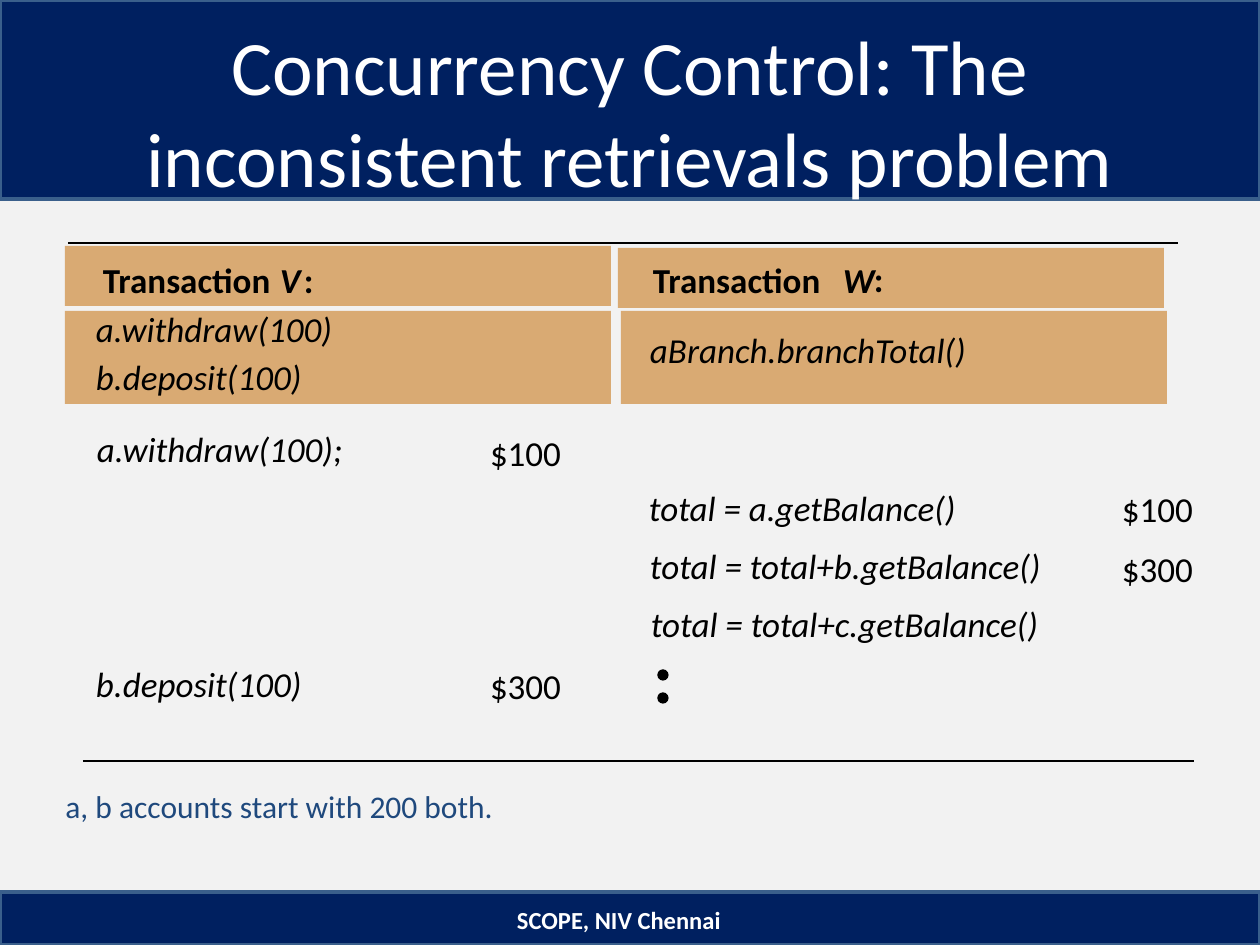
from pptx import Presentation
from pptx import util as u
from pptx.dml.color import RGBColor
from pptx.enum import shapes, text
from lxml import etree

PX = 914400 // 126
FONT = "Calibri"
COLORS = {"paper": "F2F2F2", "navy": "002060", "edge": "3A5F8B", "tan": "D9AA73",
          "ink": "000000", "white": "FFFFFF", "note": "1F497D"}

# Content: left, top, width, height in pixels
bands = [(0, 0, 1260, 199), (0, 892, 1260, 53)]
panels = [(65, 246, 546, 60), (618, 248, 546, 60),
          (65, 311, 546, 93), (621, 311, 546, 93)]
dots = [(658, 670, 10, 10), (658, 693, 10, 10)]
rules = [(68, 1178, 243), (83, 1194, 761)]

# Left, top, width, wording, style (b bold, i italic)
steps = [
    (103, 258, 176, "Transaction ", "b"), (280, 258, 21, "V", "bi"), (304, 258, 10, ":", "b"),
    (96, 307, 240, "a.withdraw(100)", "i"),
    (96, 355, 210, "b.deposit(100)", "i"),
    (653, 258, 176, "Transaction ", "b"), (843, 258, 32, "W", "bi"), (874, 257, 10, ":", "b"),
    (650, 328, 322, "aBranch.branchTotal()", "i"),
    (97, 427, 250, "a.withdraw(100);", "i"), (490, 431, 72, "$100", ""),
    (649, 486, 311, "total = a.getBalance()", "i"), (1122, 488, 72, "$100", ""),
    (650, 544, 396, "total = total+b.getBalance()", "i"), (1122, 547, 72, "$300", ""),
    (651, 603, 392, "total = total+c.getBalance()", "i"),
    (96, 662, 210, "b.deposit(100)", "i"), (490, 665, 72, "$300", ""),
]
STEP_HEIGHT = 42

# Box, wording, size, colour, style, centred
captions = [
    ((42, 32, 1176, 157), "Concurrency Control: The inconsistent retrievals problem",
     44, "white", "", True),
    ((53, 781, 1169, 50), "a, b accounts start with 200 both.", 18, "note", "", False),
    ((346, 895, 546, 50), "SCOPE, NIV Chennai", 14, "white", "b", True),
]

deck = Presentation()
deck.slide_width, deck.slide_height = 1260 * PX, 945 * PX
slide = deck.slides.add_slide(deck.slide_layouts[6])


def rgb(name):
    return RGBColor.from_string(COLORS[name])


def emu(box):
    return [v * PX for v in box]


def add_block(kind, box, fill, edge=None, weight=0.75):
    block = slide.shapes.add_shape(kind, *emu(box))
    block.shadow.inherit = False
    block.fill.solid()
    block.fill.fore_color.rgb = rgb(fill)
    if edge:
        block.line.color.rgb = rgb(edge)
        block.line.width = u.Pt(weight)
    else:
        block.line.fill.background()


def add_text(box, wording, size, color, style, centred=False, tight=False):
    frame = slide.shapes.add_textbox(*emu(box)).text_frame
    frame.word_wrap = not tight
    if tight:
        frame.margin_left = frame.margin_right = frame.margin_top = frame.margin_bottom = 0
        frame.auto_size = text.MSO_AUTO_SIZE.SHAPE_TO_FIT_TEXT
    else:
        frame.vertical_anchor = text.MSO_ANCHOR.MIDDLE
    para = frame.paragraphs[0]
    para.alignment = text.PP_ALIGN.CENTER if centred else text.PP_ALIGN.LEFT
    run = para.add_run()
    run.text = wording
    run.font.name, run.font.size = FONT, u.Pt(size)
    run.font.bold, run.font.italic = "b" in style, "i" in style
    run.font.color.rgb = rgb(color)


# Background, bands and panels
slide.background.fill.solid()
slide.background.fill.fore_color.rgb = rgb("paper")
for box in bands:
    add_block(shapes.MSO_SHAPE.RECTANGLE, box, "navy", "edge", 2)
for box in panels:
    add_block(shapes.MSO_SHAPE.RECTANGLE, box, "tan")

# Transaction steps and continuation dots
for left, top, width, wording, style in steps:
    add_text((left, top, width, STEP_HEIGHT), wording, 20, "ink", style, tight=True)
for box in dots:
    add_block(shapes.MSO_SHAPE.OVAL, box, "ink", "ink")

# Rules above and below the schedule
for start, end, y in rules:
    rule = slide.shapes.add_connector(shapes.MSO_CONNECTOR.STRAIGHT, *emu((start, y, end, y)))
    rule.line.color.rgb = rgb("ink")
    rule.line.width = u.Pt(0.75)
    props = rule._element.spPr
    etree.SubElement(props, "{http://schemas.openxmlformats.org/drawingml/2006/main}effectLst")

# Title, note and footer
for caption in captions:
    add_text(*caption)

deck.save("out.pptx")
